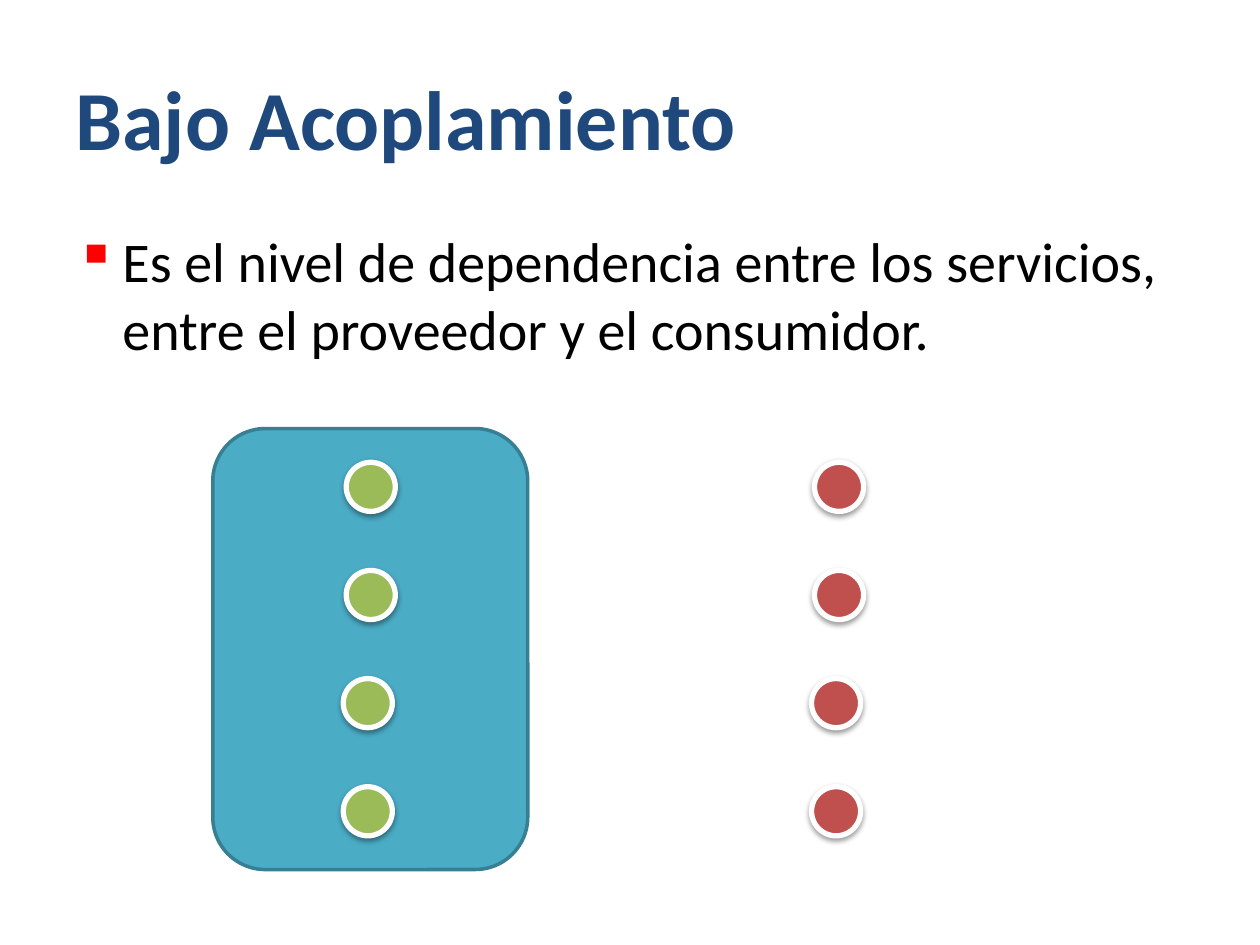
from lxml.etree import SubElement
from pptx import Presentation
from pptx.dml.color import RGBColor
from pptx.enum.shapes import MSO_SHAPE
from pptx.enum.text import MSO_ANCHOR
from pptx.oxml.ns import qn
from pptx.util import Cm, Pt

CIRCLE_SIZE = 0.99
FIRST_ROW_TOP = 9.32
ROW_STEP = 2.18
ROW_SHIFTS = (0, 0, -0.06, -0.06)


def rgb(value):
    return RGBColor.from_string(value)


def add_text(s, box, text, size, color, bold=False, anchor=MSO_ANCHOR.TOP):
    """Add a one-paragraph text box and return its paragraph."""
    tf = s.shapes.add_textbox(*map(Cm, box)).text_frame
    tf.word_wrap = True
    tf.vertical_anchor = anchor
    p = tf.paragraphs[0]
    r = p.add_run()
    r.text = text
    r.font.name = "Calibri"
    r.font.size = Pt(size)
    r.font.bold = bold
    r.font.color.rgb = rgb(color)
    return p


def add_bullet(p, char, color, indent):
    pPr = p._p.get_or_add_pPr()
    pPr.set("marL", str(Cm(indent)))
    pPr.set("indent", str(-Cm(indent)))
    SubElement(SubElement(pPr, qn("a:buClr")), qn("a:srgbClr"), val=color)
    SubElement(pPr, qn("a:buChar"), char=char)


def add_shape(s, kind, box, fill, line, width):
    sp = s.shapes.add_shape(kind, *map(Cm, box))
    sp.shadow.inherit = False
    sp.fill.solid()
    sp.fill.fore_color.rgb = rgb(fill)
    sp.line.color.rgb = rgb(line)
    sp.line.width = Pt(width)
    return sp


def add_shadow(sp):
    """Put a soft black shadow straight below the shape."""
    effects = sp._element.spPr.find(qn("a:effectLst"))
    shadow = SubElement(effects, qn("a:outerShdw"), blurRad=str(Pt(3.1)),
                        dist=str(Pt(1.6)), dir="5400000", rotWithShape="0")
    color = SubElement(shadow, qn("a:srgbClr"), val="000000")
    SubElement(color, qn("a:alpha"), val="38000")


def add_circle_column(s, left, fill):
    for row, shift in enumerate(ROW_SHIFTS):
        box = (left + shift, FIRST_ROW_TOP + row * ROW_STEP, CIRCLE_SIZE, CIRCLE_SIZE)
        add_shadow(add_shape(s, MSO_SHAPE.OVAL, box, fill, "FFFFFF", 3))


def main():
    prs = Presentation()
    prs.slide_width, prs.slide_height = Cm(25.4), Cm(19.05)
    s = prs.slides.add_slide(prs.slide_layouts[6])
    add_text(s, (1.27, 0.76, 22.86, 3.18), "Bajo Acoplamiento", 48, "1F497D",
             bold=True, anchor=MSO_ANCHOR.MIDDLE)
    p = add_text(s, (1.27, 4.45, 22.86, 12.57),
                 "Es el nivel de dependencia entre los servicios, "
                 "entre el proveedor y el consumidor.", 32, "000000")
    add_bullet(p, "▪", "FF0000", 0.95)
    add_shape(s, MSO_SHAPE.ROUNDED_RECTANGLE, (4.29, 8.64, 6.35, 8.89),
              "4BACC6", "377F92", 2)
    add_circle_column(s, 6.98, "9BBB59")
    add_circle_column(s, 16.42, "C0504D")
    prs.save("out.pptx")


if __name__ == "__main__":
    main()
